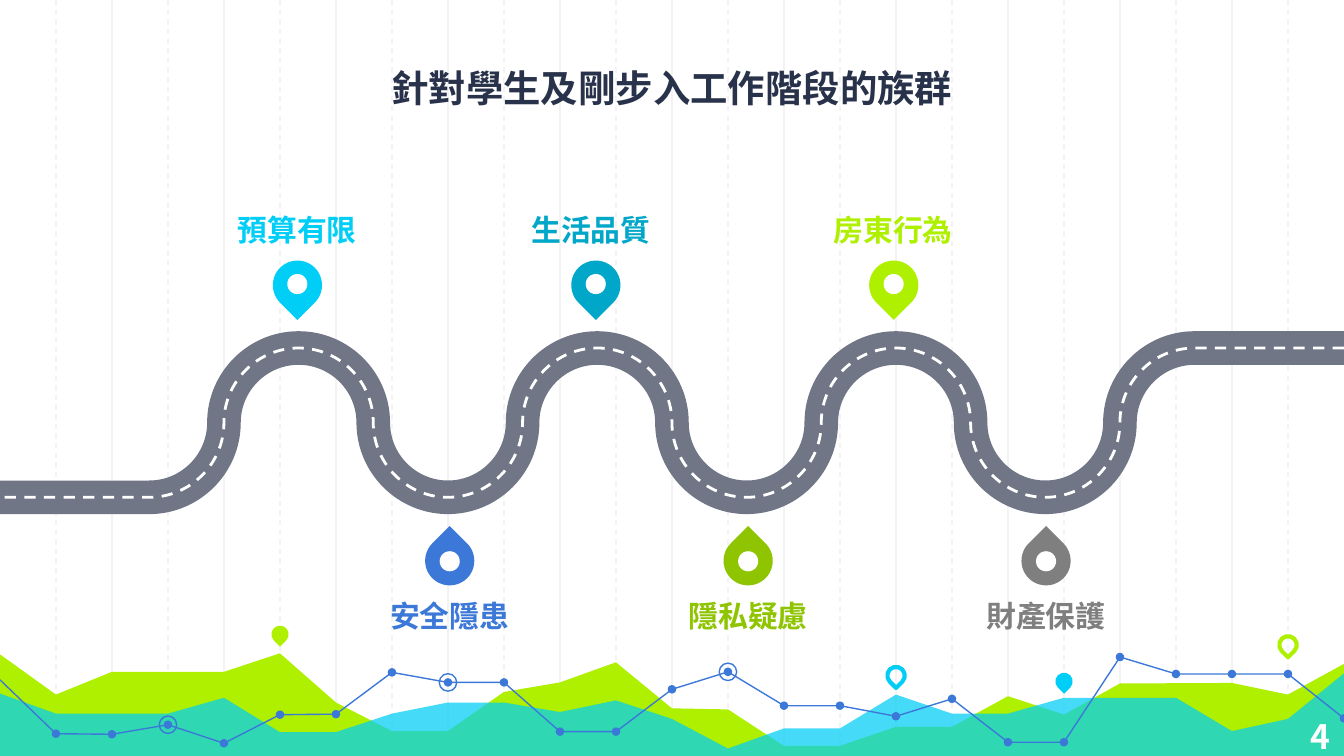
from dataclasses import dataclass

import pptx
import pptx.dml.color
import pptx.enum.dml
import pptx.enum.shapes
import pptx.enum.text
import pptx.oxml
import pptx.oxml.ns
import pptx.util
from pptx.util import Cm


@dataclass(frozen=True)
class Theme:
    font: str = "Noto Sans CJK JP"
    title_size: int = 20
    label_size: int = 16
    number_size: int = 18
    ink: str = "28324A"
    white: str = "FFFFFF"
    grid: str = "F3F3F3"
    road: str = "707685"
    lime: str = "AFF000"
    cyan: str = "00CEF6"
    teal: str = "00A7C8"
    blue: str = "3C78D8"
    green: str = "8EC400"
    grey: str = "7F7F7F"


theme = Theme()
rgb = pptx.dml.color.RGBColor.from_string
qn = pptx.oxml.ns.qn
NAMESPACE = pptx.oxml.ns.nsdecls("a")
DASH = pptx.enum.dml.MSO_LINE.DASH
OVAL = pptx.enum.shapes.MSO_SHAPE.OVAL
TEAR = pptx.enum.shapes.MSO_SHAPE.TEAR
ALIGN = pptx.enum.text.PP_ALIGN
ANCHOR = pptx.enum.text.MSO_ANCHOR


def paint(shape, fill=None, line=None, width=0.75):
    """Set fill and outline; a part without a colour is switched off."""
    shape.shadow.inherit = False
    if fill:
        shape.fill.solid()
        shape.fill.fore_color.rgb = rgb(fill)
    else:
        shape.fill.background()
    if line:
        shape.line.color.rgb = rgb(line)
        shape.line.width = pptx.util.Pt(width)
    else:
        shape.line.fill.background()


def write(shape, text, size, color, align, anchor, inset=0):
    frame = shape.text_frame
    frame.word_wrap = True
    frame.auto_size = pptx.enum.text.MSO_AUTO_SIZE.NONE
    frame.vertical_anchor = anchor
    frame.margin_left = frame.margin_right = Cm(inset)
    frame.margin_top = frame.margin_bottom = Cm(inset)
    paragraph = frame.paragraphs[0]
    paragraph.alignment = align
    run = paragraph.add_run()
    run.text = text
    run.font.size = pptx.util.Pt(size)
    run.font.bold = True
    run.font.color.rgb = rgb(color)
    run.font.name = theme.font
    east_asian = pptx.oxml.parse_xml(f'<a:ea {NAMESPACE} typeface="{theme.font}"/>')
    run.font._element.find(qn("a:latin")).addnext(east_asian)


WIDTH, HEIGHT = 25.4, 14.29
COLUMNS = 24
STEP = WIDTH / COLUMNS

deck = pptx.Presentation()
deck.slide_width, deck.slide_height = Cm(WIDTH), Cm(HEIGHT)
layout = deck.slide_layouts[5]
slide = deck.slides.add_slide(layout)
shapes = slide.shapes
backdrop = []  # parts that belong to the layout

# Vertical grid: solid on even columns, dashed on odd ones
for column in [*range(2, COLUMNS, 2), *range(1, COLUMNS, 2)]:
    x = Cm(column * STEP)
    rule = shapes.add_connector(
        pptx.enum.shapes.MSO_CONNECTOR.STRAIGHT, x, 0, x, Cm(14.35))
    rule.line.color.rgb = rgb(theme.grid)
    rule.line.width = pptx.util.Pt(0.75)
    if column % 2:
        rule.line.dash_style = DASH
    rule._element.spPr.append(pptx.oxml.parse_xml(f"<a:effectLst {NAMESPACE}/>"))
    backdrop.append(rule)

# Landscape: heights in cm by grid column
lime_hills = {
    0: 12.37, 1: 13.13, 2: 12.7, 4: 12.7, 5: 12.35, 6: 13.28, 7: 13.82,
    8: 13.82, 9: 13.08, 10: 12.9, 11: 12.52, 12: 13.39, 13: 13.41, 14: 14.1,
    15: 14.1, 16: 13.74, 17: 13.74, 18: 13.16, 19: 13.51, 20: 12.92,
    22: 12.91, 23: 13.13, 24: 12.55}
cyan_hills = {
    0: 13.11, 1: 13.49, 3: 13.49, 4: 13.19, 5: 13.84, 6: 13.84, 7: 13.49,
    8: 13.28, 9: 13.28, 10: 13.46, 11: 13.24, 12: 13.59, 13: 14.15,
    14: 13.77, 15: 13.77, 16: 13.13, 17: 13.49, 18: 13.49, 19: 13.19,
    21: 13.19, 22: 13.82, 23: 13.59, 24: 12.73}
trend = [12.85, 13.87, 13.88, 13.7, 14.05, 13.51, 13.5, 12.71, 12.9, 12.9,
         13.83, 13.83, 13.03, 12.7, 13.34, 13.34, 13.54, 13.21, 14.03, 14.03,
         12.42, 12.74, 12.74, 12.74, 13.58]
trend_points = [(column * STEP, y) for column, y in enumerate(trend)]

# points, fill, opacity, line
outlines = []
for hills, color, opacity in ((lime_hills, theme.lime, 100),
                              (cyan_hills, theme.cyan, 73)):
    ridge = [(column * STEP, y) for column, y in hills.items()]
    outlines.append(([*ridge, (WIDTH, 14.34), (0, 14.34)], color, opacity, None))
for first, last in ((0, 11), (11, 20), (20, 24)):
    outlines.append((trend_points[first:last + 1], None, 100, theme.blue))

for points, fill, opacity, line in outlines:
    corners = [(Cm(x), Cm(y)) for x, y in points]
    builder = shapes.build_freeform(*corners[0])
    builder.add_line_segments(corners[1:], close=bool(fill))
    outline = builder.convert_to_shape()
    paint(outline, fill, line)
    if opacity < 100:
        tint = outline._element.spPr.find(".//" + qn("a:srgbClr"))
        tint.append(pptx.oxml.parse_xml(
            f'<a:alpha {NAMESPACE} val="{opacity * 1000}"/>'))
    backdrop.append(outline)

# Road: quarter circles from right to left, each lnTo turned into a curve
radius, road_middle = WIDTH / 18, 7.99
road_top, road_bottom = road_middle - radius, road_middle + radius
heights = [road_top, road_middle, road_bottom, road_middle]
bends = [((16 - step) * radius, heights[step % 4]) for step in range(15)]
road = [(Cm(x), Cm(y)) for x, y in
        [(WIDTH, road_top), *bends, (0, road_bottom)]]
ARC = 0.55  # handle length of a quarter circle, in radii
for color, width, dashed in ((theme.road, 18, False), (theme.white, 1.5, True)):
    builder = shapes.build_freeform(*road[0])
    builder.add_line_segments(road[1:], close=False)
    lane = builder.convert_to_shape()
    paint(lane, None, color, width)
    if dashed:
        lane.line.dash_style = DASH
    segments = list(lane._element.iter(qn("a:lnTo")))[1:-1]
    for step, segment in enumerate(segments):
        (x0, y0), (x1, y1) = [(x - lane.left, y - lane.top)
                              for x, y in road[step + 1:step + 3]]
        dx, dy = ARC * (x1 - x0), ARC * (y1 - y0)
        if step % 2:
            handles = [(x0, y0 + dy), (x1 - dx, y1)]
        else:
            handles = [(x0 + dx, y0), (x1, y1 - dy)]
        knots = "".join(f'<a:pt x="{round(x)}" y="{round(y)}"/>'
                        for x, y in [*handles, (x1, y1)])
        segment.getparent().replace(segment, pptx.oxml.parse_xml(
            f"<a:cubicBezTo {NAMESPACE}>{knots}</a:cubicBezTo>"))

# Milestones: text, colour, pin centre, label centre, above the road
milestones = [
    ("預算有限", theme.cyan, 5.62, 5.62, True),
    ("生活品質", theme.teal, 11.26, 11.17, True),
    ("房東行為", theme.lime, 16.89, 16.88, True),
    ("安全隱患", theme.blue, 8.5, 8.5, False),
    ("隱私疑慮", theme.green, 14.14, 14.14, False),
    ("財產保護", theme.grey, 19.77, 19.77, False),
]

# Marks: preset, centre, size, rotation, fill, line, line width
marks = [
    (TEAR, 5 * STEP, 11.99, 0.33, 135, theme.lime, None, 0),
    (TEAR, 16 * STEP, 12.77, 0.33, 135, None, theme.cyan, 2.25),
    (TEAR, 19 * STEP, 12.88, 0.33, 135, theme.cyan, None, 0),
    (TEAR, 23 * STEP, 12.19, 0.33, 135, None, theme.lime, 2.25),
]
for x, y in trend_points[1:]:
    marks.append((OVAL, x, y, 0.16, 0, theme.blue, None, 0))
for column in (3, 8, 13):
    marks.append((OVAL, *trend_points[column], 0.33, 0, None, theme.blue, 0.75))
backdrop_marks = len(marks)
for text, color, pin_x, label_x, above in milestones:
    pin_y = 5.39 if above else 10.6
    hole_y = 5.37 if above else 10.61
    marks.append((TEAR, pin_x, pin_y, 0.93, 135 if above else 315, color, None, 0))
    marks.append((OVAL, pin_x, hole_y, 0.38, 0, theme.white, None, 0))

for order, (preset, x, y, size, rotation, fill, line, width) in enumerate(marks):
    mark = shapes.add_shape(preset, Cm(x - size / 2), Cm(y - size / 2),
                            Cm(size), Cm(size))
    mark.rotation = rotation
    paint(mark, fill, line, width)
    if order < backdrop_marks:
        backdrop.append(mark)

for text, color, pin_x, label_x, above in milestones:
    label = shapes.add_textbox(Cm(label_x - 1.79), Cm(3.21 if above else 11.29),
                               Cm(3.58), Cm(1.47))
    write(label, text, theme.label_size, color, ALIGN.CENTER,
          ANCHOR.BOTTOM if above else ANCHOR.TOP)

page_number = shapes.add_textbox(Cm(24.18), Cm(13.29), Cm(1.22), Cm(0.99))
write(page_number, "4", theme.number_size, theme.white,
      ALIGN.RIGHT, ANCHOR.TOP, 0.25)

title = shapes.title
title.left, title.top, title.width, title.height = Cm(0), Cm(1), Cm(WIDTH), Cm(1.32)
write(title, "針對學生及剛步入工作階段的族群", theme.title_size, theme.ink,
      ALIGN.CENTER, ANCHOR.BOTTOM, 0.25)
shapes.element.append(title.element)  # last, as the front part

# The layout keeps its title and takes over the backdrop
for placeholder in list(layout.placeholders)[1:]:
    layout.shapes.element.remove(placeholder.element)
for part in backdrop:
    layout.shapes.element.append(part.element)

deck.save("out.pptx")
